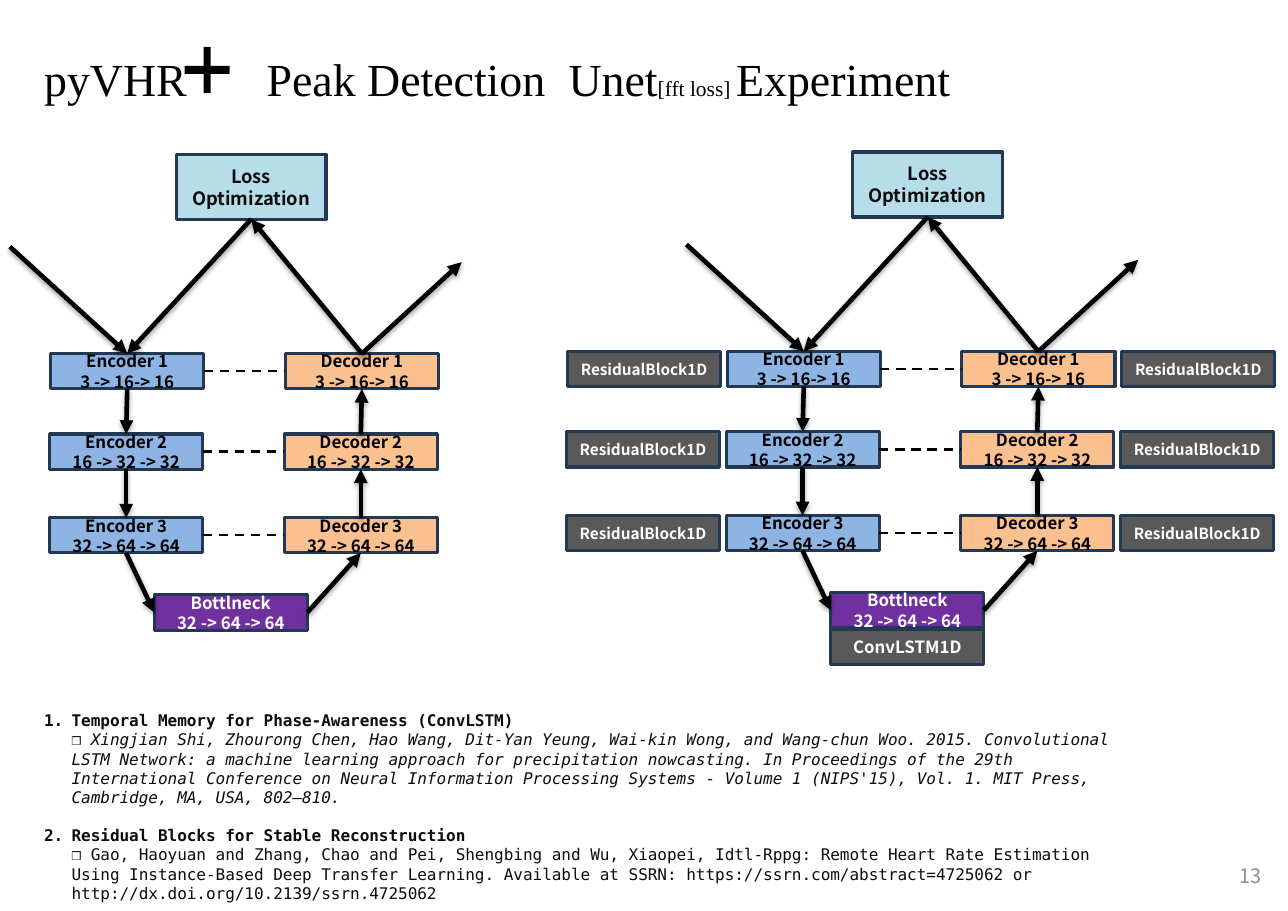
from dataclasses import dataclass

from lxml.etree import SubElement
from pptx import Presentation
from pptx.dml.color import RGBColor
from pptx.enum.dml import MSO_LINE
from pptx.enum.shapes import MSO_CONNECTOR, MSO_SHAPE
from pptx.enum.text import MSO_ANCHOR, MSO_AUTO_SIZE, PP_ALIGN
from pptx.oxml.ns import qn
from pptx.util import Pt

PX = 9144  # one hundredth of an inch
TOP, LEFT, BOTTOM, RIGHT = range(4)


@dataclass(frozen=True)
class Theme:
    black: str = "000000"
    ink: str = "0D0D0D"
    white: str = "FFFFFF"
    gray: str = "8C8C8C"
    outline: str = "233953"
    encoder: str = "8EB4E3"
    decoder: str = "FAC090"
    bottleneck: str = "7030A0"
    loss: str = "B7DEE8"
    extra: str = "595959"
    title_font: str = "Times New Roman"
    label_font: str = "Noto Sans CJK KR"
    mono_font: str = "DejaVu Sans Mono"
    title_size: float = 30
    subscript_size: float = 14
    number_size: float = 13
    loss_size: float = 12
    block_size: float = 11
    residual_size: float = 10
    reference_size: float = 10.5


THEME = Theme()
BLOCK_WIDTH, BLOCK_HEIGHT = 139, 32
LEVELS = [  # encoder left, top, channels
    (37, 181, "3 -> 16-> 16"),
    (36, 254, "16 -> 32 -> 32"),
    (36, 330, "32 -> 64 -> 64"),
]
REFERENCES = [
    ("Temporal Memory for Phase-Awareness (ConvLSTM)",
     "Xingjian Shi, Zhourong Chen, Hao Wang, Dit-Yan Yeung, Wai-kin Wong, and Wang-chun Woo. 2015. "
     "Convolutional LSTM Network: a machine learning approach for precipitation nowcasting. "
     "In Proceedings of the 29th International Conference on Neural Information Processing Systems "
     "- Volume 1 (NIPS'15), Vol. 1. MIT Press, Cambridge, MA, USA, 802–810.", True),
    ("Residual Blocks for Stable Reconstruction",
     "Gao, Haoyuan and Zhang, Chao and Pei, Shengbing and Wu, Xiaopei, Idtl-Rppg: Remote Heart Rate "
     "Estimation Using Instance-Based Deep Transfer Learning. Available at SSRN: "
     "https://ssrn.com/abstract=4725062 or http://dx.doi.org/10.2139/ssrn.4725062", False),
]


def color(value):
    return RGBColor.from_string(value)


def px(*lengths):
    return [length * PX for length in lengths]


def write(paragraph, text, *, size, font, fill=THEME.black, bold=False, italic=False):
    run = paragraph.add_run()
    run.text = text
    run.font.size, run.font.name = Pt(size), font
    run.font.bold, run.font.italic = bold, italic
    run.font.color.rgb = color(fill)


def place(shape, left, top, width, height):
    shape.left, shape.top, shape.width, shape.height = px(left, top, width, height)


def prepare_frame(shape, anchor):
    frame = shape.text_frame
    frame.word_wrap = True
    frame.auto_size = MSO_AUTO_SIZE.NONE
    frame.vertical_anchor = anchor
    return frame


def add_block(slide, left, top, lines, fill, *, width=BLOCK_WIDTH, height=BLOCK_HEIGHT,
              size=THEME.block_size, text_fill=THEME.black):
    shape = slide.shapes.add_shape(MSO_SHAPE.RECTANGLE, *px(left, top, width, height))
    shape.shadow.inherit = False
    shape.fill.solid()
    shape.fill.fore_color.rgb = color(fill)
    shape.line.color.rgb = color(THEME.outline)
    shape.line.width = Pt(2)
    frame = prepare_frame(shape, MSO_ANCHOR.MIDDLE)
    for index, line in enumerate(lines):
        paragraph = frame.add_paragraph() if index else frame.paragraphs[0]
        paragraph.alignment = PP_ALIGN.CENTER
        paragraph.line_spacing = Pt(1.2 * size)
        write(paragraph, line, size=size, font=THEME.label_font, fill=text_fill, bold=True)
    return shape


def link(slide, start, end, dashed=False):
    """Join two ends, each a (block, side) pair or an (x, y) point in px."""
    joined = [not isinstance(point[0], int) for point in (start, end)]
    begin_point = (0, 0) if joined[0] else px(*start)
    end_point = (0, 0) if joined[1] else px(*end)
    connector = slide.shapes.add_connector(MSO_CONNECTOR.STRAIGHT, *begin_point, *end_point)
    if joined[0]:
        connector.begin_connect(*start)
    if joined[1]:
        connector.end_connect(*end)
    connector.line.color.rgb = color(THEME.black)
    connector.line.width = Pt(1.5 if dashed else 3)
    properties = connector._element.spPr
    effects = SubElement(properties, qn("a:effectLst"))
    if dashed:
        connector.line.dash_style = MSO_LINE.DASH
        return
    SubElement(properties.find(qn("a:ln")), qn("a:tailEnd"), type="triangle")
    shadow = SubElement(effects, qn("a:outerShdw"), blurRad="40000", dist="23000",
                        dir="5400000", rotWithShape="0")
    shade = SubElement(shadow, qn("a:srgbClr"), val=THEME.black)
    SubElement(shade, qn("a:alpha"), val="35000")


def add_network(slide, left, top, extended=False):
    """Draw the U-shaped network; extended adds residual and ConvLSTM blocks."""
    encoders, decoders = [], []
    for number, (offset, row, channels) in enumerate(LEVELS, 1):
        encoder_left, decoder_left, row_top = left + offset, left + offset + 213, top + row
        encoders.append(add_block(slide, encoder_left, row_top,
                                  [f"Encoder {number}", channels], THEME.encoder))
        decoders.append(add_block(slide, decoder_left, row_top,
                                  [f"Decoder {number}", channels], THEME.decoder))
        if extended:
            for residual_left in (encoder_left - 145, decoder_left + 145):
                add_block(slide, residual_left, row_top, ["ResidualBlock1D"], THEME.extra,
                          size=THEME.residual_size, text_fill=THEME.white)
    bottleneck = add_block(slide, left + 131, top + 400, ["Bottlneck", LEVELS[-1][2]],
                           THEME.bottleneck, text_fill=THEME.white)
    if extended:
        add_block(slide, left + 131, top + 433, ["ConvLSTM1D"], THEME.extra, text_fill=THEME.white)
    loss = add_block(slide, left + 151, top, ["Loss", "Optimization"], THEME.loss,
                     width=136, height=59, size=THEME.loss_size, text_fill=THEME.ink)

    for encoder, decoder in zip(encoders, decoders):
        link(slide, (encoder, RIGHT), (decoder, LEFT), dashed=True)
    for upper, lower in zip(encoders, encoders[1:]):
        link(slide, (upper, BOTTOM), (lower, TOP))
    for upper, lower in zip(decoders, decoders[1:]):
        link(slide, (lower, TOP), (upper, BOTTOM))
    link(slide, (encoders[-1], BOTTOM), (bottleneck, LEFT))
    link(slide, (bottleneck, RIGHT), (decoders[-1], BOTTOM))
    link(slide, (left, top + 84), (encoders[0], TOP))
    link(slide, (decoders[0], TOP), (left + 410, top + 98))
    link(slide, (loss, BOTTOM), (encoders[0], TOP))
    link(slide, (decoders[0], TOP), (loss, BOTTOM))


def add_title(slide, left, top, width, height):
    title = slide.shapes.title
    place(title, left, top, width, height)
    paragraph = prepare_frame(title, MSO_ANCHOR.TOP).paragraphs[0]
    tabs = SubElement(paragraph._p.get_or_add_pPr(), qn("a:tabLst"))
    for position in px(202, 476):
        SubElement(tabs, qn("a:tab"), pos=str(position), algn="l")
    paragraph.alignment = PP_ALIGN.LEFT
    paragraph.line_spacing = 1.5
    for text, size in [("pyVHR\tPeak Detection\tUnet", THEME.title_size),
                       ("[fft loss] ", THEME.subscript_size), ("Experiment", THEME.title_size)]:
        write(paragraph, text, size=size, font=THEME.title_font)
    plus = slide.shapes.add_shape(MSO_SHAPE.CROSS, *px(left + 137, top + 27, 42, 41))
    plus.adjustments[0] = 0.423
    plus.rotation = 90
    plus.shadow.inherit = False
    plus.fill.solid()
    plus.fill.fore_color.rgb = color(THEME.black)
    plus.line.fill.background()


def add_references(slide, left, top, width, height):
    body = slide.placeholders[1]
    place(body, left, top, width, height)
    frame = prepare_frame(body, MSO_ANCHOR.TOP)
    style = {"size": THEME.reference_size, "font": THEME.mono_font, "fill": THEME.ink}
    for index, (heading, citation, italic) in enumerate(REFERENCES):
        paragraph = frame.add_paragraph() if index else frame.paragraphs[0]
        properties = paragraph._p.get_or_add_pPr()
        properties.set("marL", str(25 * PX))
        properties.set("indent", str(-25 * PX))
        SubElement(properties, qn("a:buFont"), typeface=THEME.mono_font)
        SubElement(properties, qn("a:buAutoNum"), type="arabicPeriod")
        paragraph.alignment = PP_ALIGN.LEFT
        paragraph.line_spacing = Pt(12.6)
        paragraph.space_before = Pt(12 if index else 0)
        write(paragraph, heading, bold=True, **style)
        paragraph.add_line_break()
        write(paragraph, "❒ ", **style)
        write(paragraph, citation, italic=italic, **style)


def add_page_number(slide, left, top, width, height):
    box = slide.shapes.add_textbox(*px(left, top, width, height))
    paragraph = prepare_frame(box, MSO_ANCHOR.MIDDLE).paragraphs[0]
    paragraph.alignment = PP_ALIGN.RIGHT
    write(paragraph, "13", size=THEME.number_size, font=THEME.label_font, fill=THEME.gray)


def main():
    presentation = Presentation()
    presentation.slide_width, presentation.slide_height = px(1169, 827)
    slide = presentation.slides.add_slide(presentation.slide_layouts[1])
    add_title(slide, 30, 16, 911, 78)
    add_network(slide, 9, 140)
    add_network(slide, 623, 138, extended=True)
    add_references(slide, 30, 640, 1008, 180)
    add_page_number(slide, 882, 773, 273, 44)
    presentation.save("out.pptx")


if __name__ == "__main__":
    main()
